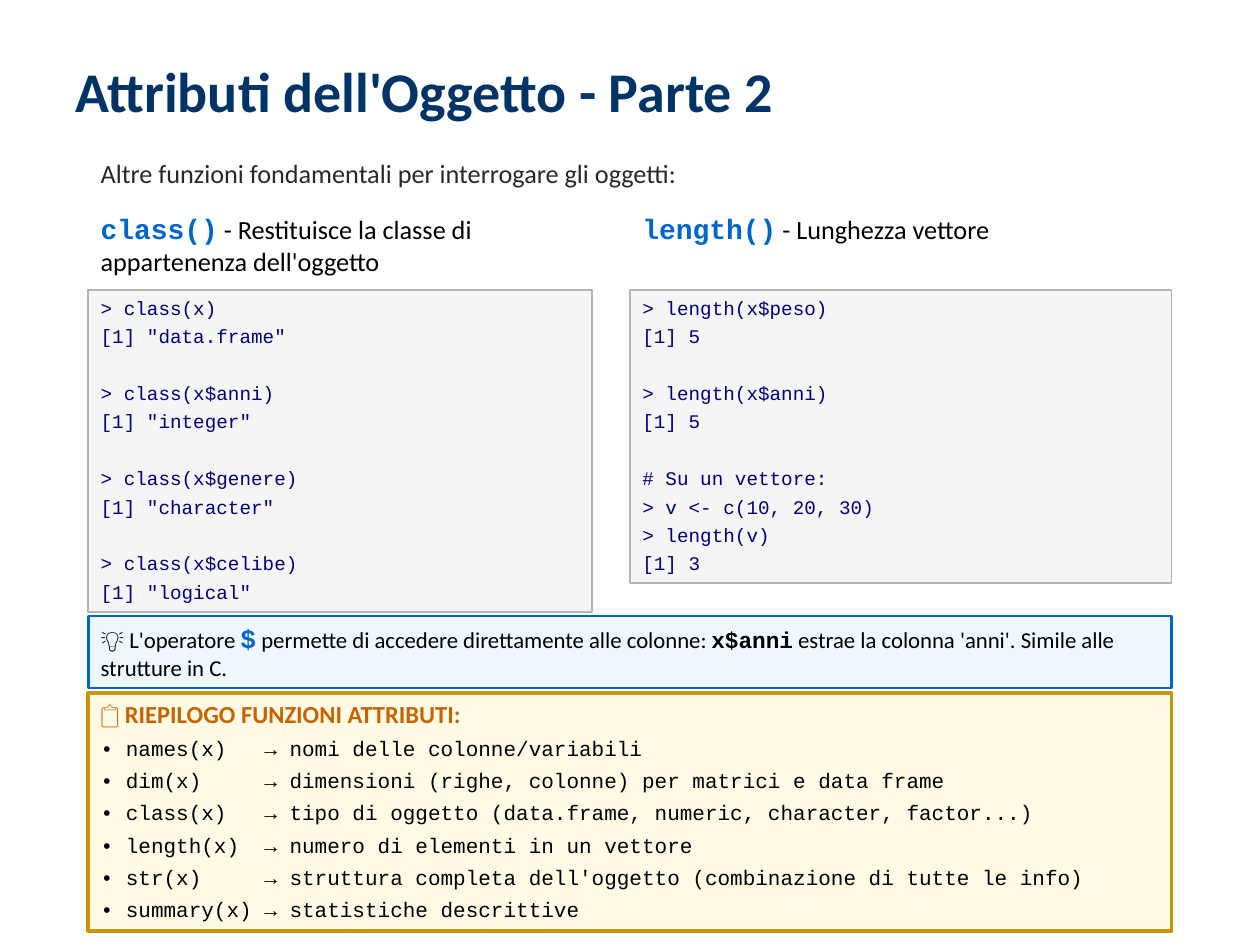
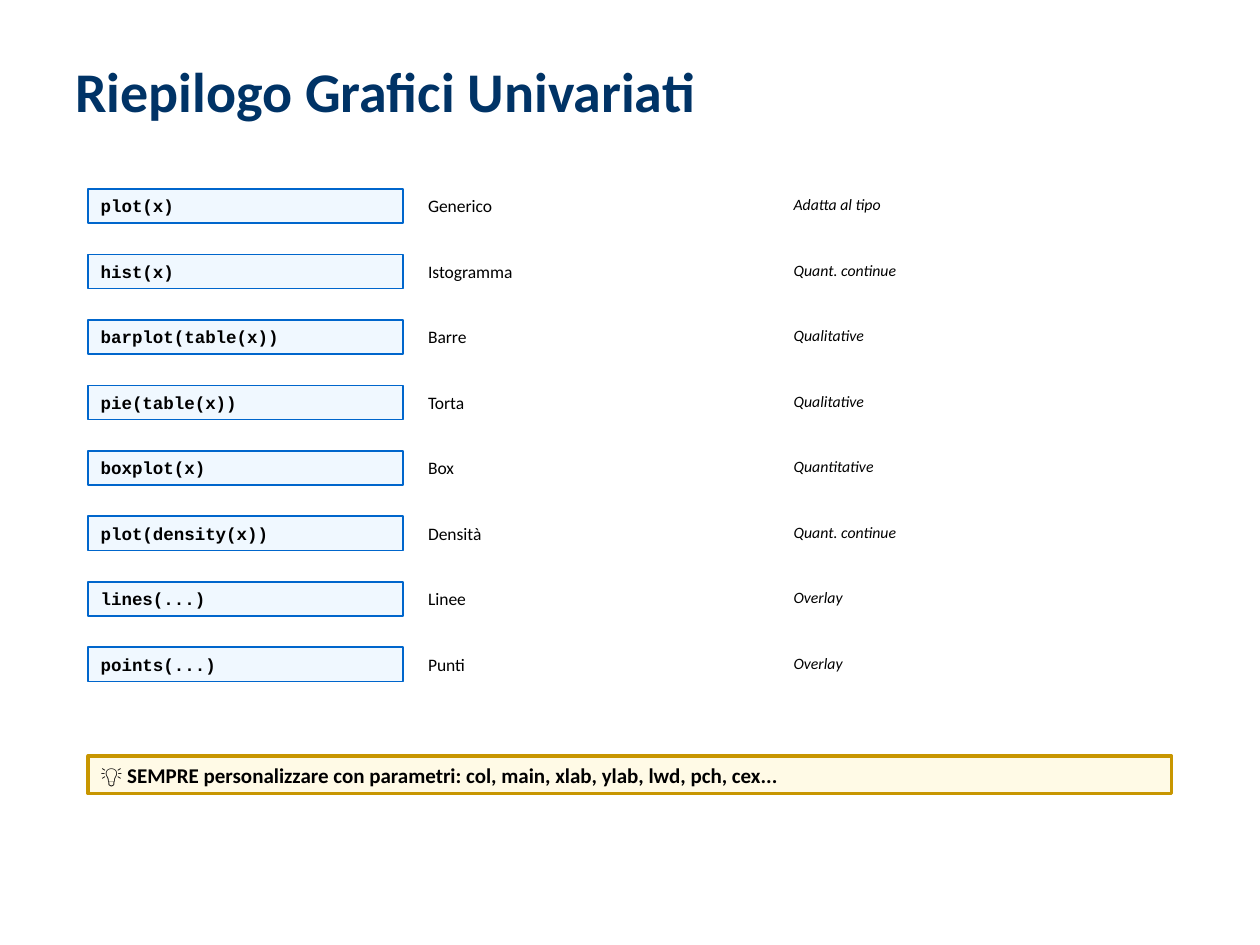
from dataclasses import dataclass
from typing import NamedTuple

from lxml.etree import SubElement
from pptx import Presentation
from pptx.dml.color import RGBColor as Rgb
from pptx.enum.shapes import MSO_SHAPE as Shape
from pptx.enum.text import MSO_ANCHOR as Anchor, MSO_AUTO_SIZE as Fit, PP_ALIGN as Align
from pptx.oxml.ns import qn
from pptx.util import Cm, Pt

HUES = {
    "title": "003366", "intro": "282828", "text": "000000",
    "blue": "0066CC", "sky": "F0F8FF", "code": "000080",
    "grey": "F5F5F5", "edge": "B4B4B4",
    "cream": "FFFAE6", "gold": "C89600", "rust": "C86400",
}
SANS, MONO = "Calibri", "Courier New"
LEFT, WIDE = 1.78, 21.84  # content column, cm
RIGHT = 12.7  # second column, cm


class Pen(NamedTuple):
    size: float
    face: str = SANS
    hue: str = "text"
    bold: bool = False
    slant: bool = False


class Run(NamedTuple):
    text: str
    pen: Pen


class Para(NamedTuple):
    runs: list[Run]
    before: float = 0
    tab: float = 0


class Look(NamedTuple):
    fill: str
    line: str
    width: float


@dataclass
class Box:
    left: float
    top: float
    width: float
    height: float
    paras: list[Para]
    look: Look | None = None


TITLE = Pen(32, hue="title", bold=True)
INTRO = Pen(15, hue="intro")
FUNC = Pen(16, MONO, "blue", True)
HEAD = Pen(15)
CODE = Pen(11, MONO, "code")
NOTE = Pen(13)
ITEM = Pen(12, MONO)
CARD = Look("grey", "edge", 1)
CALL = Look("sky", "blue", 1)
TIP = Look("sky", "blue", 1.5)
RECAP = Look("cream", "gold", 2)


def line(text: str, pen: Pen, before: float = 0, tab: float = 0) -> Para:
    return Para([Run(text, pen)], before, tab)


def code(groups: list[list[str]]) -> list[Para]:
    """Lines 3 pt apart, with a one-line gap between groups."""
    paras = []
    for group in groups:
        for i, text in enumerate(group):
            gap = 3 if i else 19.3
            paras.append(line(text, CODE, gap if paras else 0))
    return paras


def style(font, pen: Pen) -> None:
    font.name, font.size = pen.face, Pt(pen.size)
    font.bold, font.italic = pen.bold, pen.slant
    font.color.rgb = Rgb.from_string(HUES[pen.hue])


def write(par, para: Para) -> None:
    par.alignment = Align.LEFT
    par.space_before = Pt(para.before)
    if para.tab:
        tabs = SubElement(par._p.get_or_add_pPr(), qn("a:tabLst"))
        SubElement(tabs, qn("a:tab"), pos=str(Cm(para.tab)), algn="l")
    same = len({run.pen for run in para.runs}) == 1
    if same:
        style(par.font, para.runs[0].pen)
    for text, pen in para.runs:
        run = par.add_run()
        run.text = text
        if not same:
            style(run.font, pen)


def draw(slide, box: Box) -> None:
    area = [Cm(n) for n in (box.left, box.top, box.width, box.height)]
    if box.look:
        shape = slide.shapes.add_shape(Shape.RECTANGLE, *area)
        shape.shadow.inherit = False
        shape.fill.solid()
        shape.fill.fore_color.rgb = Rgb.from_string(HUES[box.look.fill])
        shape.line.color.rgb = Rgb.from_string(HUES[box.look.line])
        shape.line.width = Pt(box.look.width)
    else:
        shape = slide.shapes.add_textbox(*area)
    frame = shape.text_frame
    frame.word_wrap = True
    frame.auto_size = Fit.SHAPE_TO_FIT_TEXT
    frame.vertical_anchor = Anchor.TOP
    for i, para in enumerate(box.paras):
        write(frame.add_paragraph() if i else frame.paragraphs[0], para)


def page(deck, title: str, boxes: list[Box]) -> None:
    slide = deck.slides.add_slide(deck.slide_layouts[6])
    head = Box(1.27, 1.02, 22.86, 1.63, [line(title, TITLE)])
    for box in [head, *boxes]:
        draw(slide, box)


# Object attributes
KINDS = [
    ["> class(x)", '[1] "data.frame"'],
    ["> class(x$anni)", '[1] "integer"'],
    ["> class(x$genere)", '[1] "character"'],
    ["> class(x$celibe)", '[1] "logical"'],
]
SIZES = [
    ["> length(x$peso)", "[1] 5"],
    ["> length(x$anni)", "[1] 5"],
    ["# Su un vettore:", "> v <- c(10, 20, 30)", "> length(v)", "[1] 3"],
]
ITEMS = [
    ("names(x)", "nomi delle colonne/variabili"),
    ("dim(x)", "dimensioni (righe, colonne) per matrici e data frame"),
    ("class(x)", "tipo di oggetto (data.frame, numeric, character, factor...)"),
    ("length(x)", "numero di elementi in un vettore"),
    ("str(x)", "struttura completa dell'oggetto (combinazione di tutte le info)"),
    ("summary(x)", "statistiche descrittive"),
]


def traits() -> list[Box]:
    kind = Para([Run("class()", FUNC),
                 Run(" - Restituisce la classe di appartenenza dell'oggetto", HEAD)])
    size = Para([Run("length()", FUNC), Run(" - Lunghezza vettore", HEAD)])
    tip = Para([
        Run("💡 L'operatore ", NOTE),
        Run("$", Pen(15, MONO, "blue", True)),
        Run(" permette di accedere direttamente alle colonne: ", NOTE),
        Run("x$anni", Pen(13, MONO, bold=True)),
        Run(" estrae la colonna 'anni'. Simile alle strutture in C.", NOTE),
    ])
    recap = [line("📋 RIEPILOGO FUNZIONI ATTRIBUTI:", Pen(14, hue="rust", bold=True))]
    recap += [line(f"• {name}\t→ {use}", ITEM, 4, 3.3) for name, use in ITEMS]
    intro = line("Altre funzioni fondamentali per interrogare gli oggetti:", INTRO)
    return [
        Box(LEFT, 3.05, WIDE, 0.89, [intro]),
        Box(LEFT, 4.14, 9.83, 1.57, [kind]),
        Box(LEFT, 5.84, 10.16, 6.5, code(KINDS), CARD),
        Box(RIGHT, 4.14, 10.92, 0.94, [size]),
        Box(RIGHT, 5.84, 10.92, 5.92, code(SIZES), CARD),
        Box(LEFT, 13.97, WIDE, 4.8, recap, RECAP),
        Box(LEFT, 12.42, WIDE, 1.45, [tip], TIP),
    ]


# Univariate charts
PLOTS = [
    ("plot(x)", "Generico", "Adatta al tipo"),
    ("hist(x)", "Istogramma", "Quant. continue"),
    ("barplot(table(x))", "Barre", "Qualitative"),
    ("pie(table(x))", "Torta", "Qualitative"),
    ("boxplot(x)", "Box", "Quantitative"),
    ("plot(density(x))", "Densità", "Quant. continue"),
    ("lines(...)", "Linee", "Overlay"),
    ("points(...)", "Punti", "Overlay"),
]


def plots() -> list[Box]:
    boxes = []
    for i, (call, name, use) in enumerate(PLOTS):
        top = 3.81 + i * 1.32
        boxes += [
            Box(LEFT, top, 6.35, 0.69, [line(call, Pen(10, MONO, bold=True))], CALL),
            Box(8.38, top, 7.11, 0.69, [line(name, Pen(10))]),
            Box(15.75, top, 7.87, 0.64, [line(use, Pen(9, slant=True))]),
        ]
    tip = "💡 SEMPRE personalizzare con parametri: col, main, xlab, ylab, lwd, pch, cex..."
    boxes.append(Box(LEFT, 15.24, WIDE, 0.76, [line(tip, Pen(12, bold=True))], RECAP))
    return boxes


def main() -> None:
    deck = Presentation()
    deck.slide_width, deck.slide_height = Cm(25.4), Cm(19.05)
    page(deck, "Attributi dell'Oggetto - Parte 2", traits())
    page(deck, "Riepilogo Grafici Univariati", plots())
    deck.save("out.pptx")


if __name__ == "__main__":
    main()
